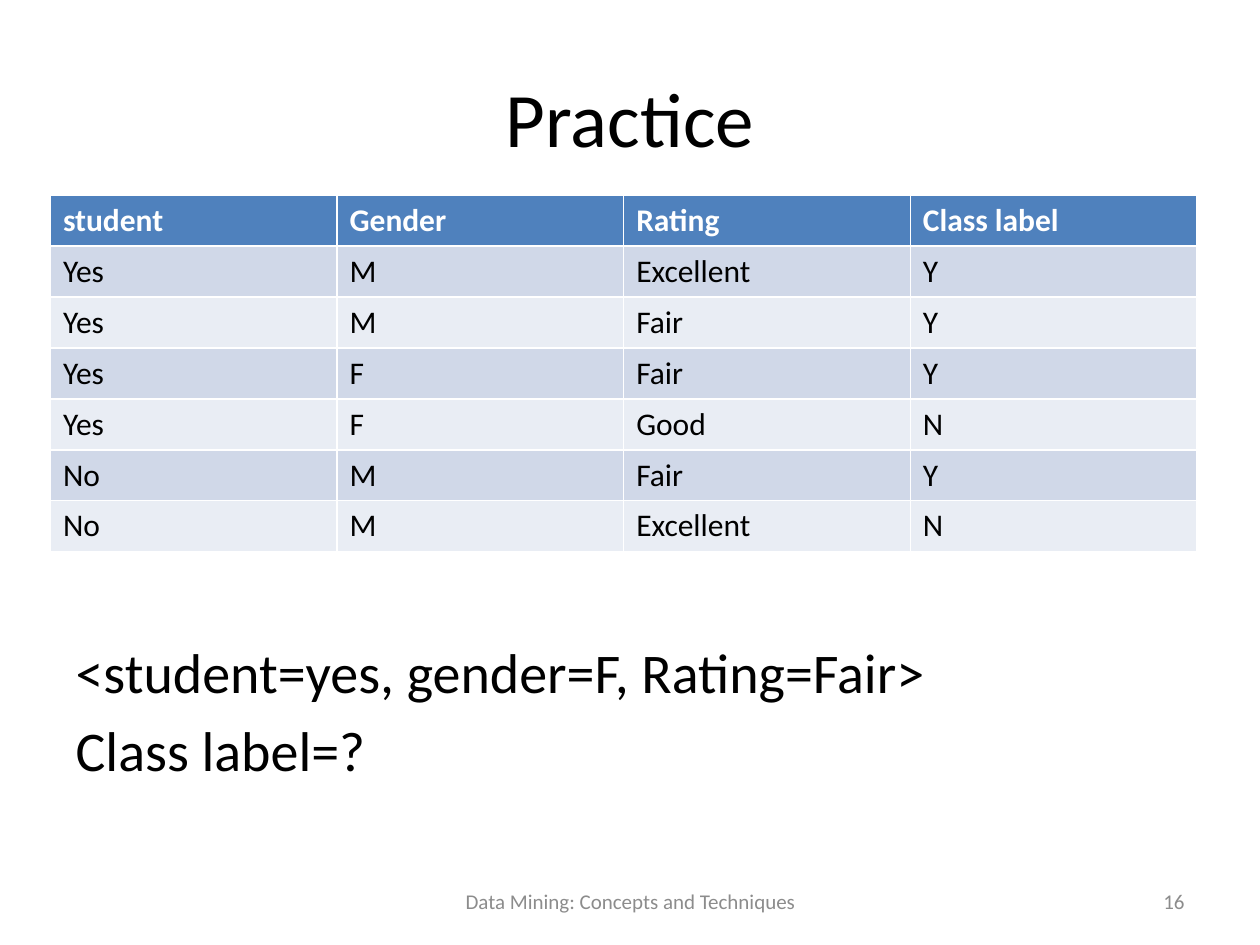
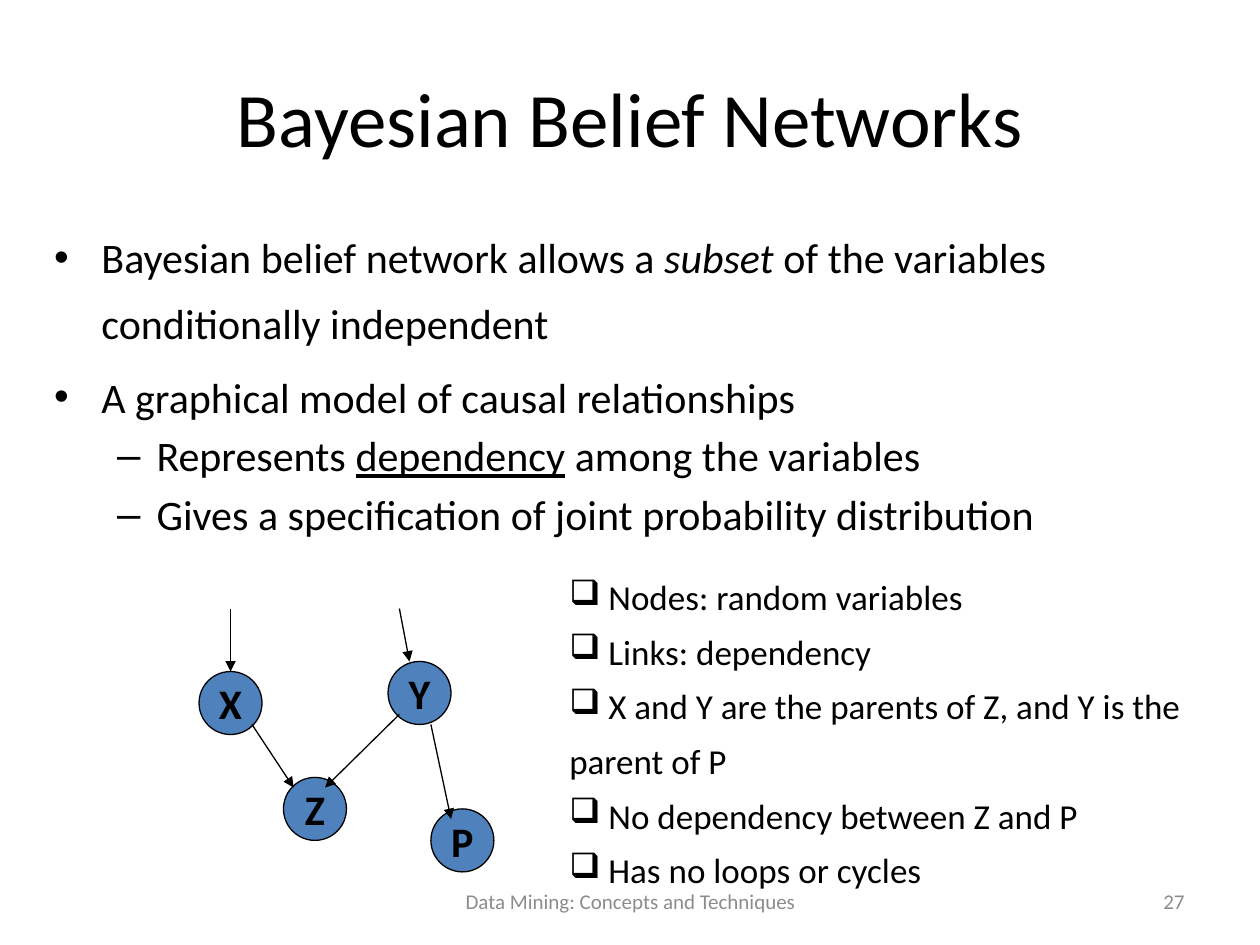
"""Builds two lecture slides: a classification exercise and Bayesian belief networks."""
from lxml import etree
from pptx import Presentation
from pptx.dml.color import RGBColor
from pptx.enum.shapes import MSO_CONNECTOR, MSO_SHAPE
from pptx.enum.text import MSO_ANCHOR, MSO_AUTO_SIZE, PP_ALIGN
from pptx.oxml.ns import qn
from pptx.util import Inches, Pt

STRAIGHT = MSO_CONNECTOR.STRAIGHT
CIRCLE = MSO_SHAPE.FLOWCHART_CONNECTOR
MIDDLE = MSO_ANCHOR.MIDDLE
LEFT, CENTER, RIGHT = PP_ALIGN.LEFT, PP_ALIGN.CENTER, PP_ALIGN.RIGHT
NO_FIT = MSO_AUTO_SIZE.NONE

FONT = "Calibri"
FOOTER = "Data Mining: Concepts and Techniques"
COLORS = {
    "text": "000000",
    "footer": "8C8C8C",
    "accent": "4F81BD",
    "header_text": "FFFFFF",
    "odd_row": "D0D8E8",
    "even_row": "E9EDF4",
}
NODE_SIZE = 0.5

RECORDS = [
    ("student", "Gender", "Rating", "Class label"),
    ("Yes", "M", "Excellent", "Y"),
    ("Yes", "M", "Fair", "Y"),
    ("Yes", "F", "Fair", "Y"),
    ("Yes", "F", "Good", "N"),
    ("No", "M", "Fair", "Y"),
    ("No", "M", "Excellent", "N"),
]
QUERY = ["<student=yes, gender=F, Rating=Fair>", "Class label=?"]
DEFINITION = [
    (0, ["Bayesian belief network allows a ", "subset", " of the variables conditionally independent"]),
    (0, ["A graphical model of causal relationships"]),
    (1, ["Represents ", "dependency", " among the variables"]),
    (1, ["Gives a specification of joint probability distribution"]),
]
NODES = {"X": (1.58, 5.33), "Y": (3.08, 5.25), "Z": (2.25, 6.17), "P": (3.42, 6.42)}
LINKS = [
    ((2, 5.75), (2.33, 6.25)),
    ((3.17, 5.67), (2.58, 6.25)),
    ((3.42, 5.75), (3.58, 6.5)),
    ((1.83, 4.83), (1.83, 5.33)),
    ((3.17, 4.83), (3.25, 5.25)),
]
LEGEND = [
    "Nodes: random variables",
    "Links: dependency",
    "X and Y are the parents of Z, and Y is the parent of P",
    "No dependency between Z and P",
    "Has no loops or cycles",
]


def rgb(role):
    return RGBColor.from_string(COLORS[role])


def style(paragraph, size, role="text", bold=None, align=None):
    font = paragraph.font
    font.name, font.size, font.bold = FONT, Pt(size), bold
    font.color.rgb = rgb(role)
    paragraph.alignment = align


def place(shape, left, top, width, height):
    shape.left, shape.top = Inches(left), Inches(top)
    shape.width, shape.height = Inches(width), Inches(height)


def set_bullet(paragraph, char=None):
    properties = paragraph._p.get_or_add_pPr()
    properties.set("marL", "0")
    properties.set("indent", "0")
    bullet = etree.SubElement(properties, qn("a:buChar" if char else "a:buNone"))
    if char:
        bullet.set("char", char)


def add_text_box(slide, left, top, width, height):
    frame = slide.shapes.add_textbox(
        Inches(left), Inches(top), Inches(width), Inches(height)).text_frame
    frame.word_wrap = True
    return frame


def add_footer_text(slide, text, left, width, align):
    frame = add_text_box(slide, left, 6.95, width, 0.4)
    frame.vertical_anchor = MIDDLE
    frame.text = text
    style(frame.paragraphs[0], 12, "footer", align=align)


def add_slide(deck, title, number):
    slide = deck.slides.add_slide(deck.slide_layouts[1])
    heading = slide.shapes.title
    place(heading, 0.5, 0.3, 9, 1.25)
    heading.text_frame.text = title
    heading.text_frame.vertical_anchor = MIDDLE
    style(heading.text_frame.paragraphs[0], 44, align=CENTER)
    add_footer_text(slide, FOOTER, 3.42, 3.17, CENTER)
    add_footer_text(slide, str(number), 7.17, 2.33, RIGHT)
    return slide


def place_body(slide, left, top, width, height):
    body = slide.placeholders[1]
    place(body, left, top, width, height)
    body.text_frame.auto_size = NO_FIT
    return body.text_frame


def next_paragraph(frame, index):
    return frame.add_paragraph() if index else frame.paragraphs[0]


def add_records_table(slide):
    table = slide.shapes.add_table(
        len(RECORDS), len(RECORDS[0]),
        Inches(0.4), Inches(1.55), Inches(9.1), Inches(2.83)).table
    for row, record in enumerate(RECORDS):
        header = row == 0
        fill = "accent" if header else "odd_row" if row % 2 else "even_row"
        for column, value in enumerate(record):
            cell = table.cell(row, column)
            cell.text = value
            cell.fill.solid()
            cell.fill.fore_color.rgb = rgb(fill)
            style(cell.text_frame.paragraphs[0], 18,
                  "header_text" if header else "text", header, LEFT)


def add_query(slide):
    frame = place_body(slide, 0.5, 5.01, 9, 1.34)
    for index, line in enumerate(QUERY):
        paragraph = next_paragraph(frame, index)
        paragraph.text = line
        style(paragraph, 32)
        set_bullet(paragraph)


def add_definition(slide):
    frame = place_body(slide, 0.33, 1.67, 9.33, 5.5)
    for index, (level, pieces) in enumerate(DEFINITION):
        paragraph = next_paragraph(frame, index)
        paragraph.level = level
        if level == 0:
            paragraph.line_spacing = 1.3
        style(paragraph, 24)
        for piece in pieces:
            run = paragraph.add_run()
            run.text = piece
            if piece == "subset":
                run.font.italic = True
            elif piece == "dependency":
                run.font.underline = True


def add_node(slide, name, left, top):
    node = slide.shapes.add_shape(
        CIRCLE, Inches(left), Inches(top), Inches(NODE_SIZE), Inches(NODE_SIZE))
    node.shadow.inherit = False
    node.fill.solid()
    node.fill.fore_color.rgb = rgb("accent")
    node.line.color.rgb = rgb("text")
    node.line.width = Pt(0.75)
    frame = node.text_frame
    frame.word_wrap = False
    frame.vertical_anchor = MIDDLE
    frame.text = name
    style(frame.paragraphs[0], 24, bold=True, align=CENTER)


def add_arrow(slide, start, end):
    arrow = slide.shapes.add_connector(
        STRAIGHT, *(Inches(value) for value in (*start, *end)))
    arrow.line.color.rgb = rgb("text")
    arrow.line.width = Pt(0.75)
    etree.SubElement(arrow.line._get_or_add_ln(), qn("a:tailEnd"), type="triangle")
    etree.SubElement(arrow._element.spPr, qn("a:effectLst"))


def add_legend(slide):
    frame = add_text_box(slide, 4.42, 4.42, 5.4, 2.7)
    for index, line in enumerate(LEGEND):
        paragraph = next_paragraph(frame, index)
        paragraph.text = " " + line
        paragraph.line_spacing = 1.3
        set_bullet(paragraph, "\u2751")
        style(paragraph, 20)


def build_practice(deck):
    slide = add_slide(deck, "Practice", 16)
    add_query(slide)
    add_records_table(slide)


def build_networks(deck):
    slide = add_slide(deck, "Bayesian Belief Networks", 27)
    add_definition(slide)
    for name, (left, top) in NODES.items():
        add_node(slide, name, left, top)
    for start, end in LINKS:
        add_arrow(slide, start, end)
    add_legend(slide)


def main():
    deck = Presentation()
    deck.slide_width, deck.slide_height = Inches(10), Inches(7.5)
    build_practice(deck)
    build_networks(deck)
    deck.save("out.pptx")


main()
